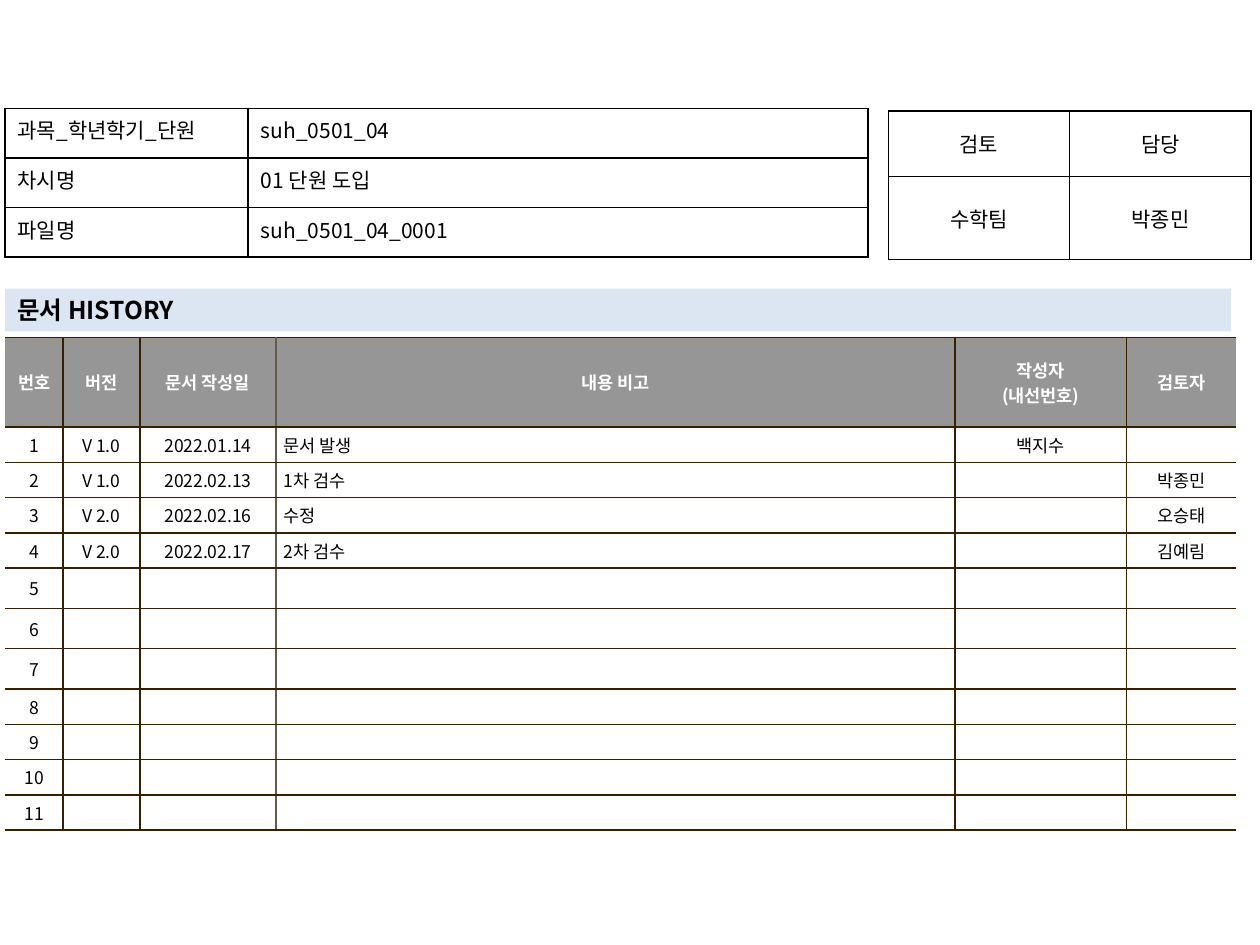
from lxml.etree import SubElement
from pptx import Presentation
from pptx.dml.color import RGBColor
from pptx.enum.shapes import MSO_SHAPE
from pptx.enum.text import MSO_ANCHOR as Anchor, PP_ALIGN as Align
from pptx.oxml.ns import qn
from pptx.util import Inches, Pt

FONT = "Noto Sans CJK KR"
BLACK = RGBColor(0x00, 0x00, 0x00)
WHITE = RGBColor(0xFF, 0xFF, 0xFF)
GRAY = RGBColor(0x96, 0x96, 0x96)
PALE_BLUE = RGBColor(0xDC, 0xE6, 0xF2)
BROWN = RGBColor(0x36, 0x20, 0x00)
TAUPE = RGBColor(0x64, 0x5B, 0x4C)
NO_STYLE = "{2D5ABB26-0587-4C30-8999-92F81FD0307C}"

FILE_ROWS = [
    ("과목_학년학기_단원", "suh_0501_04"),
    ("차시명", "01 단원 도입"),
    ("파일명", "suh_0501_04_0001"),
]
REVIEW_ROWS = [("검토", "담당"), ("수학팀", "박종민")]
HISTORY_HEADER = ("번호", "버전", "문서 작성일", "내용 비고", "작성자\n(내선번호)", "검토자")
HISTORY_ENTRIES = [
    ("V 1.0", "2022.01.14", "문서 발생", "백지수", ""),
    ("V 1.0", "2022.02.13", "1차 검수", "", "박종민"),
    ("V 2.0", "2022.02.16", "수정", "", "오승태"),
    ("V 2.0", "2022.02.17", "2차 검수", "", "김예림"),
]
ENTRY_COUNT = 11
TALL_ENTRIES = (5, 6, 7)


def format_text(text_frame, size, color=BLACK, bold=False, align=Align.LEFT):
    """Format every run, and the line height of empty paragraphs."""
    for paragraph in text_frame.paragraphs:
        paragraph.alignment = align
        for run in paragraph.runs:
            run.font.size = Pt(size)
            run.font.bold = bold
            run.font.name = FONT
            run.font.color.rgb = color
            SubElement(run.font._element, qn("a:ea"), typeface=FONT)
        if not paragraph.runs:
            end = SubElement(paragraph._p, qn("a:endParaRPr"), sz=str(size * 100))
            for tag in ("a:latin", "a:ea"):
                SubElement(end, qn(tag), typeface=FONT)


def set_borders(cell, left, right, top, bottom):
    """Draw one-point cell borders, leaving out those whose colour is None."""
    properties = cell._tc.get_or_add_tcPr()
    for side, color in zip("LRTB", (left, right, top, bottom)):
        line = SubElement(properties, qn(f"a:ln{side}"), w=str(Pt(1)))
        if color is None:
            SubElement(line, qn("a:noFill"))
        else:
            fill = SubElement(line, qn("a:solidFill"))
            SubElement(fill, qn("a:srgbClr"), val=str(color))


def add_plain_table(slide, box, rows, widths, heights):
    """Add an unstyled table with its text, and return it."""
    table = slide.shapes.add_table(len(rows), len(widths), *map(Inches, box)).table
    table._tbl.tblPr.find(qn("a:tableStyleId")).text = NO_STYLE
    table.first_row = table.horz_banding = False
    for column, width in zip(table.columns, widths):
        column.width = Inches(width)
    for row, height, texts in zip(table.rows, heights, rows):
        row.height = Inches(height)
        for cell, text in zip(row.cells, texts):
            cell.text_frame.text = text
    return table


def add_file_table(slide, box):
    """Add the subject, lesson and file names."""
    left, top, width, height = box
    widths = (1.93, width - 1.93)
    table = add_plain_table(slide, box, FILE_ROWS, widths, [height / 3] * 3)
    for row in table.rows:
        for cell, align in zip(row.cells, (Align.JUSTIFY, Align.LEFT)):
            set_borders(cell, *[BLACK] * 4)
            cell.fill.background()
            format_text(cell.text_frame, 12, align=align)


def add_review_table(slide, box):
    """Add the reviewing team and the person in charge."""
    left, top, width, height = box
    heights = (0.52, height - 0.52)
    table = add_plain_table(slide, box, REVIEW_ROWS, [width / 2] * 2, heights)
    for cell in table.iter_cells():
        set_borders(cell, *[BLACK] * 4)
        cell.fill.background()
        cell.vertical_anchor = Anchor.MIDDLE
        format_text(cell.text_frame, 12, align=Align.CENTER)


def add_history_bar(slide, box):
    """Add the heading bar of the document history."""
    bar = slide.shapes.add_shape(MSO_SHAPE.RECTANGLE, *map(Inches, box))
    bar.shadow.inherit = False
    bar.fill.solid()
    bar.fill.fore_color.rgb = PALE_BLUE
    bar.line.fill.background()
    text_frame = bar.text_frame
    text_frame.text = "문서 HISTORY"
    text_frame.word_wrap = True
    text_frame.vertical_anchor = Anchor.MIDDLE
    format_text(text_frame, 14, bold=True)


def add_history_table(slide, box):
    """Add the numbered version history under its grey header."""
    blanks = [("",) * 5] * (ENTRY_COUNT - len(HISTORY_ENTRIES))
    entries = [
        (str(number), *entry)
        for number, entry in enumerate(HISTORY_ENTRIES + blanks, 1)
    ]
    widths = (0.46, 0.61, 1.08, 5.39, 1.36, 0.87)
    heights = [0.71] + [
        0.32 if number in TALL_ENTRIES else 0.28
        for number in range(1, ENTRY_COUNT + 1)
    ]
    table = add_plain_table(slide, box, [HISTORY_HEADER] + entries, widths, heights)
    dividers = (None, BROWN, BROWN, TAUPE, BROWN, BROWN, None)
    for row_index, row in enumerate(table.rows):
        header = row_index == 0
        for column_index, cell in enumerate(row.cells):
            set_borders(cell, *dividers[column_index:column_index + 2], BROWN, BROWN)
            cell.fill.solid()
            cell.fill.fore_color.rgb = GRAY if header else WHITE
            cell.vertical_anchor = Anchor.MIDDLE
            cell.margin_left = cell.margin_right = Inches(0.06)
            cell.margin_top = cell.margin_bottom = Inches(0.04)
            is_note = column_index == 3 and not header
            format_text(
                cell.text_frame,
                10,
                color=WHITE if header else BLACK,
                bold=header,
                align=Align.LEFT if is_note else Align.CENTER,
            )


def main():
    """Build the document history slide."""
    presentation = Presentation()
    presentation.slide_width = Inches(10)
    presentation.slide_height = Inches(7.5)
    slide = presentation.slides.add_slide(presentation.slide_layouts[6])
    add_history_table(slide, (0.04, 2.68, 9.77, 3.82))
    add_review_table(slide, (7.05, 0.88, 2.88, 1.18))
    add_history_bar(slide, (0.04, 2.29, 9.73, 0.34))
    add_file_table(slide, (0.04, 0.86, 6.85, 1.18))
    presentation.save("out.pptx")


if __name__ == "__main__":
    main()
